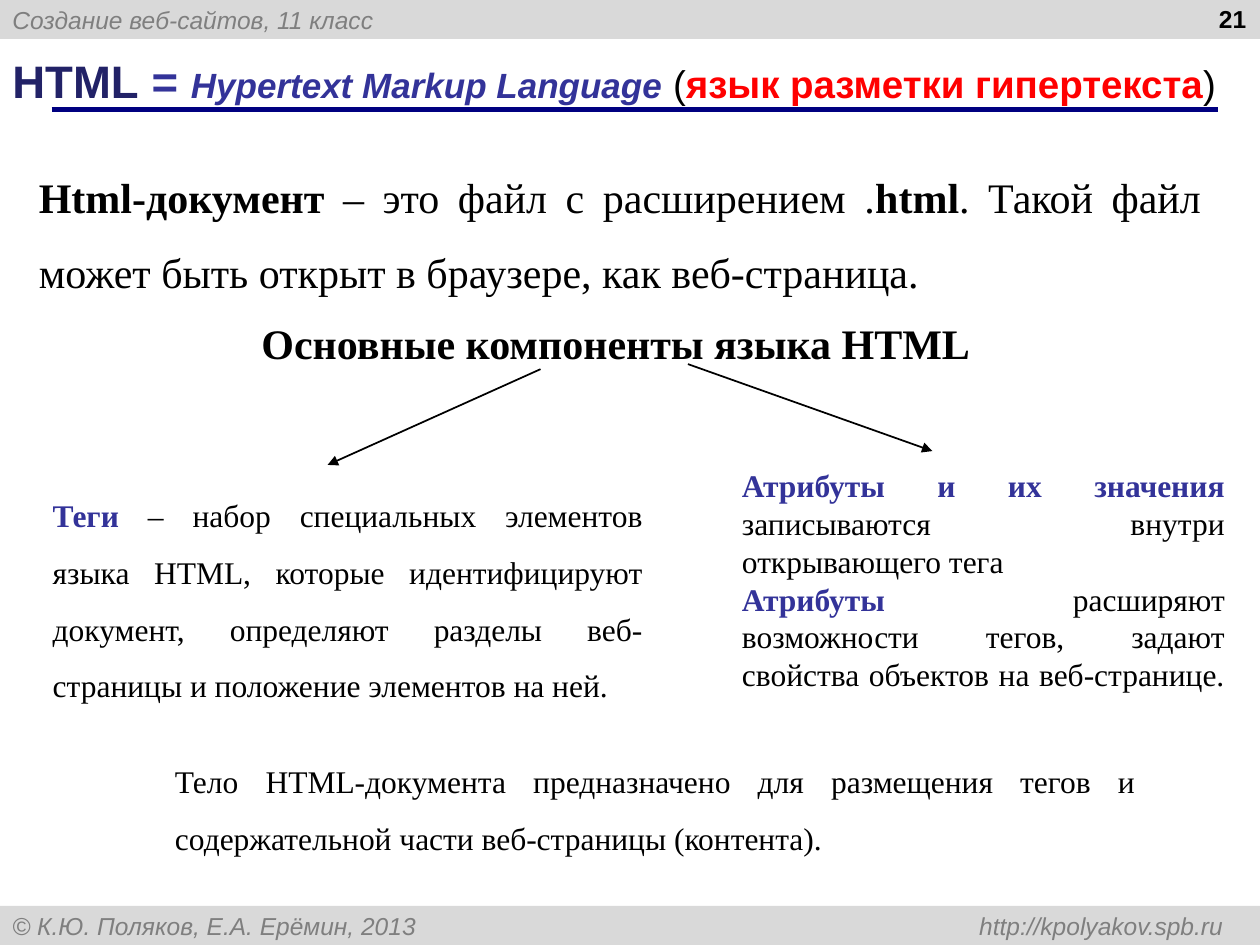
from lxml import etree
from pptx import Presentation
from pptx.dml.color import RGBColor
from pptx.enum.shapes import MSO_CONNECTOR as CONN, MSO_SHAPE as SHAPE
from pptx.enum.text import MSO_ANCHOR as ANCHOR, PP_ALIGN as ALIGN
from pptx.oxml.ns import qn
from pptx.util import Inches, Pt

BLACK, GRAY, BLUE, RED = "000000", "7F7F7F", "333399", "FF0000"
SERIF = "Times New Roman"


def rgb(color):
    return RGBColor.from_string(color)


def add_text(box, paragraphs, font=SERIF, align=ALIGN.JUSTIFY, spacing=None):
    """Each paragraph is a list of runs: text, size, color, style letters."""
    s = slide.shapes.add_textbox(*[Inches(v) for v in box])
    tf = s.text_frame
    tf.word_wrap = True
    for i, runs in enumerate(paragraphs):
        p = tf.paragraphs[0] if i == 0 else tf.add_paragraph()
        p.alignment = align
        if spacing:
            p.line_spacing = spacing
        for text, size, color, style in runs:
            r = p.add_run()
            r.text = text
            r.font.name, r.font.size = font, Pt(size)
            r.font.color.rgb = rgb(color)
            r.font.bold, r.font.italic = "b" in style, "i" in style
    return tf


prs = Presentation()
prs.slide_width, prs.slide_height = Inches(10), Inches(7.5)
slide = prs.slides.add_slide(prs.slide_layouts[6])

# Header and footer bars
bars = [(0, "Создание веб-сайтов, 11 класс"),
        (7.19, "© К.Ю. Поляков, Е.А. Ерёмин, 2013 \thttp://kpolyakov.spb.ru")]
for top, text in bars:
    s = slide.shapes.add_shape(SHAPE.RECTANGLE, 0, Inches(top), Inches(10), Inches(0.31))
    s.shadow.inherit = False
    s.fill.solid()
    s.fill.fore_color.rgb = rgb("D9D9D9")
    s.line.fill.background()
    tf = s.text_frame
    tf.vertical_anchor = ANCHOR.MIDDLE
    p = tf.paragraphs[0]
    p.text = text
    p.alignment = ALIGN.LEFT
    if "\t" in text:
        tabs = etree.SubElement(p._p.get_or_add_pPr(), qn("a:tabLst"))
        etree.SubElement(tabs, qn("a:tab"), pos=str(Inches(9.61)), algn="r")
    font = p.runs[0].font
    font.name, font.size, font.italic = "Arial", Pt(14), True
    font.color.rgb = rgb(GRAY)

# Page number
add_text((7.66, -0.02, 2.33, 0.52), [[("21", 14, BLACK, "b")]], "Arial", ALIGN.RIGHT)

# Title
tf = add_text((0, 0.33, 9.99, 0.54), [[
    ("HTML", 26, "222267", "b"),
    (" = ", 26, BLUE, "b"),
    ("Hypertext Markup Language", 20, BLUE, "bi"),
    (" ", 22, BLUE, "bi"),
    ("(", 22, BLACK, ""),
    ("язык разметки гипертекста", 22, RED, "b"),
    (")", 22, BLACK, ""),
]], "Arial", ALIGN.LEFT)
tf.margin_top = Inches(0.09)

# Definition and subheading
add_text((0.21, 1.11, 9.42, 1.31), [[
    ("Html-документ", 24, BLACK, "b"),
    (" – это файл с расширением .", 24, BLACK, ""),
    ("html", 24, BLACK, "b"),
    (". Такой файл может быть открыт в браузере, как веб-страница.", 24, BLACK, ""),
]], spacing=1.5)
add_text((0.21, 2.27, 9.42, 0.71),
         [[("Основные компоненты языка HTML ", 24, BLACK, "b")]],
         align=ALIGN.CENTER, spacing=1.5)

# Tags, attributes and document body
add_text((0.32, 3.74, 4.88, 1.92), [[
    ("Теги ", 18, BLUE, "b"),
    ("– набор специальных элементов языка HTML, которые идентифицируют документ, "
     "определяют разделы веб-страницы и положение элементов на ней.", 18, BLACK, ""),
]], spacing=1.5)
add_text((5.79, 3.65, 4.03, 1.92), [
    [("Атрибуты и их значения ", 18, BLUE, "b"),
     ("записываются внутри открывающего тега", 18, BLACK, "")],
    [("Атрибуты ", 18, BLUE, "b"),
     ("расширяют возможности тегов, задают свойства объектов на веб-странице. ",
      18, BLACK, "")],
])
add_text((1.29, 5.85, 7.82, 1.01), [[
    ("Тело HTML-документа предназначено для размещения тегов и "
     "содержательной части веб-страницы (контента).", 18, BLACK, ""),
]], spacing=1.5)

# Title rule and arrows: ends, color, width, arrowhead
lines = [((0.41, 0.87, 9.67, 0.87), "000080", 3, False),
         ((4.29, 2.93, 2.6, 3.69), BLACK, 1, True),
         ((5.46, 2.89, 7.4, 3.58), BLACK, 1, True)]
for ends, color, width, arrow in lines:
    c = slide.shapes.add_connector(CONN.STRAIGHT, *[Inches(v) for v in ends])
    c.line.color.rgb = rgb(color)
    c.line.width = Pt(width)
    if arrow:
        etree.SubElement(c.line._get_or_add_ln(), qn("a:tailEnd"), type="triangle")
    etree.SubElement(c._element.spPr, qn("a:effectLst"))

prs.save("out.pptx")
